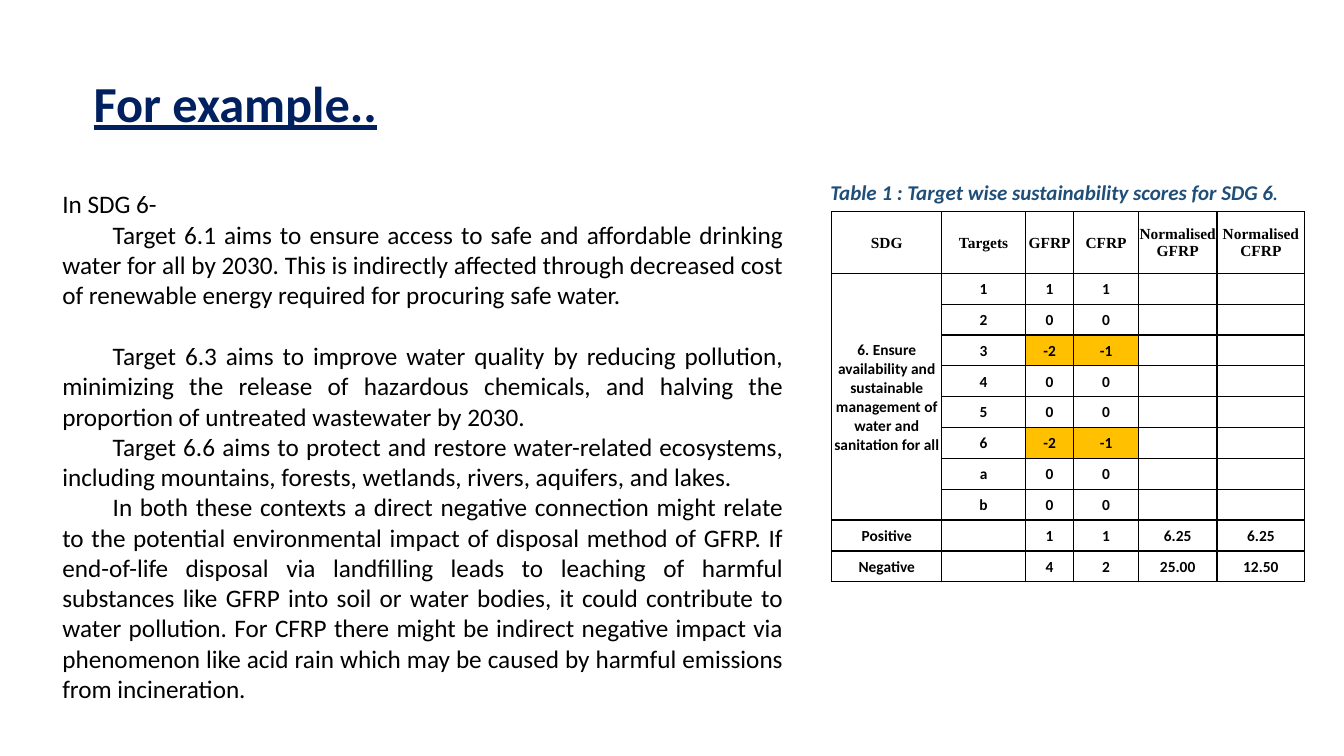
import pptx
import pptx.util
import pptx.dml.color
import pptx.enum.text
import pptx.oxml.ns
from lxml import etree
from dataclasses import dataclass

Align = pptx.enum.text.PP_ALIGN
Anchor = pptx.enum.text.MSO_ANCHOR
Pt = pptx.util.Pt
qn = pptx.oxml.ns.qn


@dataclass(frozen=True)
class Theme:
    """Colours, fonts and type sizes of the slide."""
    sans: str = "Calibri"
    serif: str = "Times New Roman"
    navy: str = "002060"
    blue: str = "1F4E79"
    black: str = "000000"
    white: str = "FFFFFF"
    amber: str = "FFC000"
    title: float = 36
    body: float = 18
    label: float = 15
    stop: float = 12
    cell: float = 11


THEME = Theme()
WIDTH, HEIGHT = pptx.util.Inches(13.33), pptx.util.Inches(7.5)

TITLE = "For example.."
LEAD = "In SDG 6-"
POINTS = [
    "Target 6.1 aims to ensure access to safe and affordable drinking water for all by 2030. "
    "This is indirectly affected through decreased cost of renewable energy required for "
    "procuring safe water.",
    "Target 6.3 aims to improve water quality by reducing pollution, minimizing the release of "
    "hazardous chemicals, and halving the proportion of untreated wastewater by 2030. ",
    "Target 6.6 aims to protect and restore water-related ecosystems, including mountains, "
    "forests, wetlands, rivers, aquifers, and lakes. ",
    "In both these contexts a direct negative connection might relate to the potential "
    "environmental impact of disposal method of GFRP. If end-of-life disposal via landfilling "
    "leads to leaching of harmful substances like GFRP into soil or water bodies, it could "
    "contribute to water pollution. For CFRP there might be indirect negative impact via "
    "phenomenon like acid rain which may be caused by harmful emissions from incineration.",
]
LABEL = "Table 1 : Target wise sustainability scores for SDG 6"
GOAL = "6. Ensure availability and sustainable management of water and sanitation for all"
HEAD = ["SDG", "Targets", "GFRP", "CFRP", "Normalised GFRP", "Normalised CFRP"]
SCORES = {"1": (1, 1), "2": (0, 0), "3": (-2, -1), "4": (0, 0),
          "5": (0, 0), "6": (-2, -1), "a": (0, 0), "b": (0, 0)}
TOTALS = [["Positive", "", "1", "1", "6.25", "6.25"],
          ["Negative", "", "4", "2", "25.00", "12.50"]]
COLS = [1.09, 0.83, 0.48, 0.64, 0.78, 0.87]


def place(left, top, width, height):
    """Turn percentages of the slide into a box of lengths."""
    return [int(share * side / 100) for share, side in
            zip((left, top, width, height), (WIDTH, HEIGHT) * 2)]


def style(run, size, color, face=THEME.sans, bold=False, slant=False):
    """Set the type of one run."""
    font = run.font
    font.name, font.size = face, Pt(size)
    font.bold, font.italic = bold, slant
    font.color.rgb = pptx.dml.color.RGBColor.from_string(color)


def add_text(slide, box, anchor):
    """Add an empty wrapping text box and return its frame."""
    frame = slide.shapes.add_textbox(*box).text_frame
    frame.word_wrap = True
    frame.vertical_anchor = anchor
    return frame


def add_title(slide, box):
    """Add the underlined heading."""
    frame = add_text(slide, box, Anchor.MIDDLE)
    frame.text = TITLE
    para = frame.paragraphs[0]
    para.line_spacing = 0.9
    style(para.runs[0], THEME.title, THEME.navy, bold=True)
    para.runs[0].font.underline = True


def add_body(slide, box):
    """Add the justified text, each point with a first-line indent."""
    frame = add_text(slide, box, Anchor.MIDDLE)
    frame.text = "\n".join([LEAD] + POINTS)
    for para in frame.paragraphs:
        para.alignment = Align.JUSTIFY
        style(para.runs[0], THEME.body, THEME.black)
    for para in frame.paragraphs[1:]:
        props = para._p.get_or_add_pPr()
        props.set("marL", "0")
        props.set("indent", str(pptx.util.Inches(0.5)))
    frame.paragraphs[2].space_before = Pt(22)


def add_label(slide, box):
    """Add the caption above the table."""
    frame = add_text(slide, box, Anchor.TOP)
    frame.text = LABEL
    para = frame.paragraphs[0]
    para.alignment = Align.CENTER
    style(para.runs[0], THEME.label, THEME.blue, bold=True, slant=True)
    stop = para.add_run()
    stop.text = "."
    style(stop, THEME.stop, THEME.blue, THEME.serif, bold=True, slant=True)


def fill_cell(cell, text, face, fill):
    """Write one table cell with its borders and fill."""
    cell.text = text
    cell.vertical_anchor = Anchor.MIDDLE
    cell.margin_left = cell.margin_right = cell.margin_top = Pt(0.75)
    cell.margin_bottom = 0
    para = cell.text_frame.paragraphs[0]
    para.alignment = Align.CENTER
    for run in para.runs:
        style(run, THEME.cell, THEME.black, face, bold=True)
    if not text:
        etree.SubElement(para._p, qn("a:endParaRPr"), sz=str(THEME.cell * 100))
    props = cell._tc.get_or_add_tcPr()
    for side in ("a:lnL", "a:lnR", "a:lnT", "a:lnB"):
        line = etree.SubElement(props, qn(side), w=str(Pt(1)))
        paint = etree.SubElement(line, qn("a:solidFill"))
        etree.SubElement(paint, qn("a:srgbClr"), val=THEME.black)
    cell.fill.solid()
    cell.fill.fore_color.rgb = pptx.dml.color.RGBColor.from_string(fill)


def add_scores(slide, box):
    """Add the score table, with negative scores marked."""
    goals = [["", key, *map(str, pair), "", ""] for key, pair in SCORES.items()]
    goals[0][0] = GOAL
    rows = [HEAD] + goals + TOTALS
    table = slide.shapes.add_table(len(rows), len(COLS), *box).table
    for col, share in zip(table.columns, COLS):
        col.width = int(box[2] * share / sum(COLS))
    unit = box[3] // (len(rows) + 1)
    for i, row in enumerate(rows):
        table.rows[i].height = unit if i else 2 * unit
        for j, text in enumerate(row):
            face = THEME.sans if i else THEME.serif
            fill = THEME.amber if text.startswith("-") else THEME.white
            fill_cell(table.cell(i, j), text, face, fill)
    table.cell(1, 0).merge(table.cell(len(SCORES), 0))


def main():
    """Build the slide and save it."""
    deck = pptx.Presentation()
    deck.slide_width, deck.slide_height = WIDTH, HEIGHT
    slide = deck.slides.add_slide(deck.slide_layouts[6])
    add_title(slide, place(6.23, 7.87, 25.96, 12.4))
    add_body(slide, place(3.9, 24, 55.14, 70))
    add_label(slide, place(60.69, 23.07, 35.48, 4.67))
    add_scores(slide, place(61.89, 28, 35.2, 49))
    deck.save("out.pptx")


if __name__ == "__main__":
    main()
